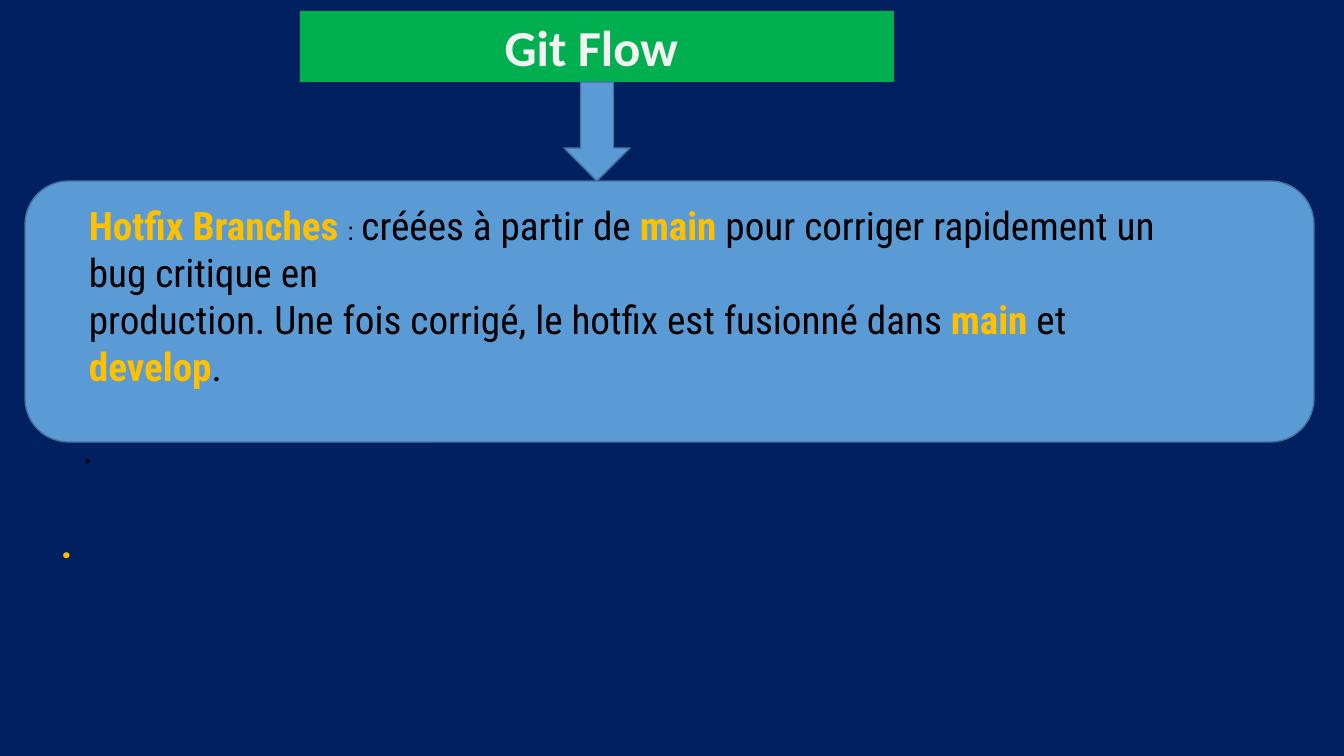
from dataclasses import dataclass

from pptx import Presentation
from pptx.dml.color import RGBColor
from pptx.enum.shapes import MSO_SHAPE
from pptx.enum.text import MSO_ANCHOR, PP_ALIGN
from pptx.shapes.autoshape import Shape
from pptx.slide import Slide
from pptx.text.text import TextFrame
from pptx.util import Emu, Pt

RECTANGLE = MSO_SHAPE.RECTANGLE
ROUNDED_RECTANGLE = MSO_SHAPE.ROUNDED_RECTANGLE
DOWN_ARROW = MSO_SHAPE.DOWN_ARROW
MIDDLE = MSO_ANCHOR.MIDDLE
CENTER = PP_ALIGN.CENTER
LEFT = PP_ALIGN.LEFT

SLIDE_WIDTH, SLIDE_HEIGHT = 1344, 756
EMU_PER_PX = 12192000 / SLIDE_WIDTH


@dataclass(frozen=True)
class Theme:
    background: str = "002060"
    panel: str = "5B9BD5"
    outline: str = "43739E"
    banner: str = "00B050"
    title: str = "F2F2F2"
    text: str = "000000"
    accent: str = "FFC000"
    title_font: str = "Calibri"
    body_font: str = "Roboto Condensed"
    colon_font: str = "Arial"
    title_size: int = 36
    body_size: int = 28
    colon_size: int = 18


THEME = Theme()


@dataclass(frozen=True)
class Box:
    left: int
    top: int
    width: int
    height: int

    def emu(self) -> tuple[Emu, Emu, Emu, Emu]:
        return px(self.left), px(self.top), px(self.width), px(self.height)


@dataclass(frozen=True)
class Span:
    text: str
    color: str = THEME.text
    bold: bool = False
    font: str = THEME.body_font
    size: int = THEME.body_size


@dataclass(frozen=True)
class Block:
    preset: MSO_SHAPE
    box: Box
    fill: str
    outline: str | None = THEME.outline
    spans: tuple[Span, ...] = ()


@dataclass(frozen=True)
class Caption:
    box: Box
    paragraphs: tuple[tuple[Span, ...], ...]
    wrap: bool = False


def px(length: int) -> Emu:
    return Emu(round(length * EMU_PER_PX))


def rgb(color: str) -> RGBColor:
    return RGBColor.from_string(color)


def accent(text: str) -> Span:
    return Span(text, THEME.accent, bold=True)


BLOCKS = (
    Block(ROUNDED_RECTANGLE, Box(25, 181, 1289, 261), THEME.panel),
    Block(RECTANGLE, Box(300, 11, 594, 71), THEME.banner, None,
          (Span("Git Flow ", THEME.title, True, THEME.title_font, THEME.title_size),)),
    Block(DOWN_ARROW, Box(564, 82, 66, 99), THEME.panel),
)

CAPTIONS = (
    Caption(Box(73, 419, 34, 58), ((Span("."),),)),
    Caption(Box(51, 514, 27, 58), ((accent("."),),)),
    Caption(Box(79, 243, 1123, 105), (
        (accent("Hotfix Branches "),
         Span(": ", font=THEME.colon_font, size=THEME.colon_size),
         Span("créées à partir de "), accent("main"),
         Span(" pour corriger rapidement un bug critique en")),
        (Span("production. Une fois corrigé, le hotfix est fusionné dans "),
         accent("main"), Span(" et "), accent("develop"), Span(".")),
    ), wrap=True),
)


def write(frame: TextFrame, paragraphs: tuple[tuple[Span, ...], ...],
          alignment: PP_ALIGN) -> None:
    for index, spans in enumerate(paragraphs):
        paragraph = frame.add_paragraph() if index else frame.paragraphs[0]
        paragraph.alignment = alignment
        for span in spans:
            run = paragraph.add_run()
            run.text = span.text
            run.font.name = span.font
            run.font.size = Pt(span.size)
            run.font.bold = span.bold
            run.font.color.rgb = rgb(span.color)


def draw_block(slide: Slide, block: Block) -> Shape:
    shape = slide.shapes.add_shape(block.preset, *block.box.emu())
    shape.shadow.inherit = False
    shape.fill.solid()
    shape.fill.fore_color.rgb = rgb(block.fill)
    if block.outline:
        shape.line.color.rgb = rgb(block.outline)
        shape.line.width = Pt(1)
    else:
        shape.line.fill.background()
    if block.spans:
        shape.text_frame.vertical_anchor = MIDDLE
        write(shape.text_frame, (block.spans,), CENTER)
    return shape


def draw_caption(slide: Slide, caption: Caption) -> Shape:
    shape = slide.shapes.add_textbox(*caption.box.emu())
    shape.text_frame.word_wrap = caption.wrap
    shape.text_frame.vertical_anchor = MIDDLE
    write(shape.text_frame, caption.paragraphs, LEFT)
    return shape


def main() -> None:
    presentation = Presentation()
    presentation.slide_width = px(SLIDE_WIDTH)
    presentation.slide_height = px(SLIDE_HEIGHT)
    slide = presentation.slides.add_slide(presentation.slide_layouts[6])
    slide.background.fill.solid()
    slide.background.fill.fore_color.rgb = rgb(THEME.background)
    for block in BLOCKS:
        draw_block(slide, block)
    for caption in CAPTIONS:
        draw_caption(slide, caption)
    presentation.save("out.pptx")


if __name__ == "__main__":
    main()
